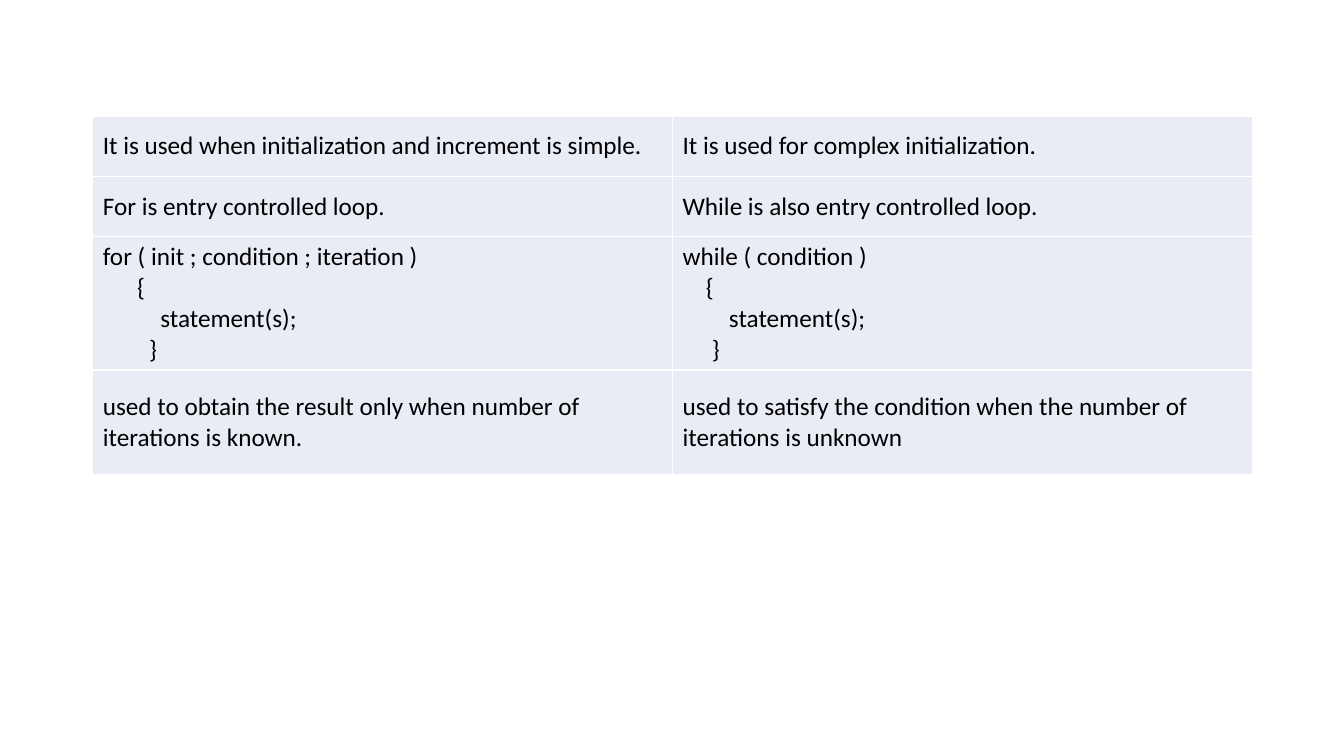
from dataclasses import dataclass

from lxml import etree
from pptx import Presentation
from pptx.dml.color import RGBColor
from pptx.enum.text import MSO_ANCHOR
from pptx.oxml.ns import qn
from pptx.table import _Cell
from pptx.util import Inches, Pt

MIDDLE = MSO_ANCHOR.MIDDLE
COLORS = {"text": "000000", "fill": "E9EBF5", "edge": "FFFFFF"}
FONT = "Calibri"
SIZE = Pt(18)
EDGE = Pt(1)


@dataclass
class Line:
    text: str
    indent: float = 0


@dataclass
class Row:
    height: float
    cells: list[list[Line]]


def code(head: str, *indents: float) -> list[Line]:
    """Loop syntax: a head line, then the indented body."""
    body = ("{", "statement(s);", "}")
    return [Line(head)] + [Line(*pair) for pair in zip(body, indents)]


# Loop comparison: for on the left, while on the right
ROWS = [
    Row(0.6, [[Line("It is used when initialization and increment is simple.")],
              [Line("It is used for complex initialization.")]]),
    Row(0.6, [[Line("For is entry controlled loop.")],
              [Line("While is also entry controlled loop.")]]),
    Row(1.32, [code("for ( init ; condition ; iteration )", 0.34, 0.57, 0.46),
               code("while ( condition )", 0.23, 0.46, 0.29)]),
    Row(1.04, [[Line("used to obtain the result only when number of iterations is known.")],
               [Line("used to satisfy the condition when the number of iterations is unknown")]]),
]
LEFT, TOP, WIDTH = 0.92, 1.15, 5.75


def add_edges(cell: _Cell) -> None:
    props = cell._tc.get_or_add_tcPr()
    for side in ("a:lnL", "a:lnR", "a:lnT", "a:lnB"):
        edge = etree.SubElement(props, qn(side), w=str(EDGE))
        fill = etree.SubElement(edge, qn("a:solidFill"))
        etree.SubElement(fill, qn("a:srgbClr"), val=COLORS["edge"])


def fill_cell(cell: _Cell, lines: list[Line]) -> None:
    add_edges(cell)
    cell.fill.solid()
    cell.fill.fore_color.rgb = RGBColor.from_string(COLORS["fill"])
    cell.vertical_anchor = MIDDLE
    cell.text = "\n".join(line.text for line in lines)
    for para, line in zip(cell.text_frame.paragraphs, lines):
        para.font.name = FONT
        para.font.size = SIZE
        para.font.color.rgb = RGBColor.from_string(COLORS["text"])
        if line.indent:
            para._p.get_or_add_pPr().set("marL", str(Inches(line.indent)))


# Slide
deck = Presentation()
deck.slide_width, deck.slide_height = Inches(13.33), Inches(7.5)
slide = deck.slides.add_slide(deck.slide_layouts[6])

# Table
cols = len(ROWS[0].cells)
height = sum(row.height for row in ROWS)
table = slide.shapes.add_table(len(ROWS), cols, Inches(LEFT), Inches(TOP),
                               Inches(WIDTH * cols), Inches(height)).table
table.first_row = False
table.horz_banding = False
for col in table.columns:
    col.width = Inches(WIDTH)
for r, row in enumerate(ROWS):
    table.rows[r].height = Inches(row.height)
    for c, lines in enumerate(row.cells):
        fill_cell(table.cell(r, c), lines)

deck.save("out.pptx")
